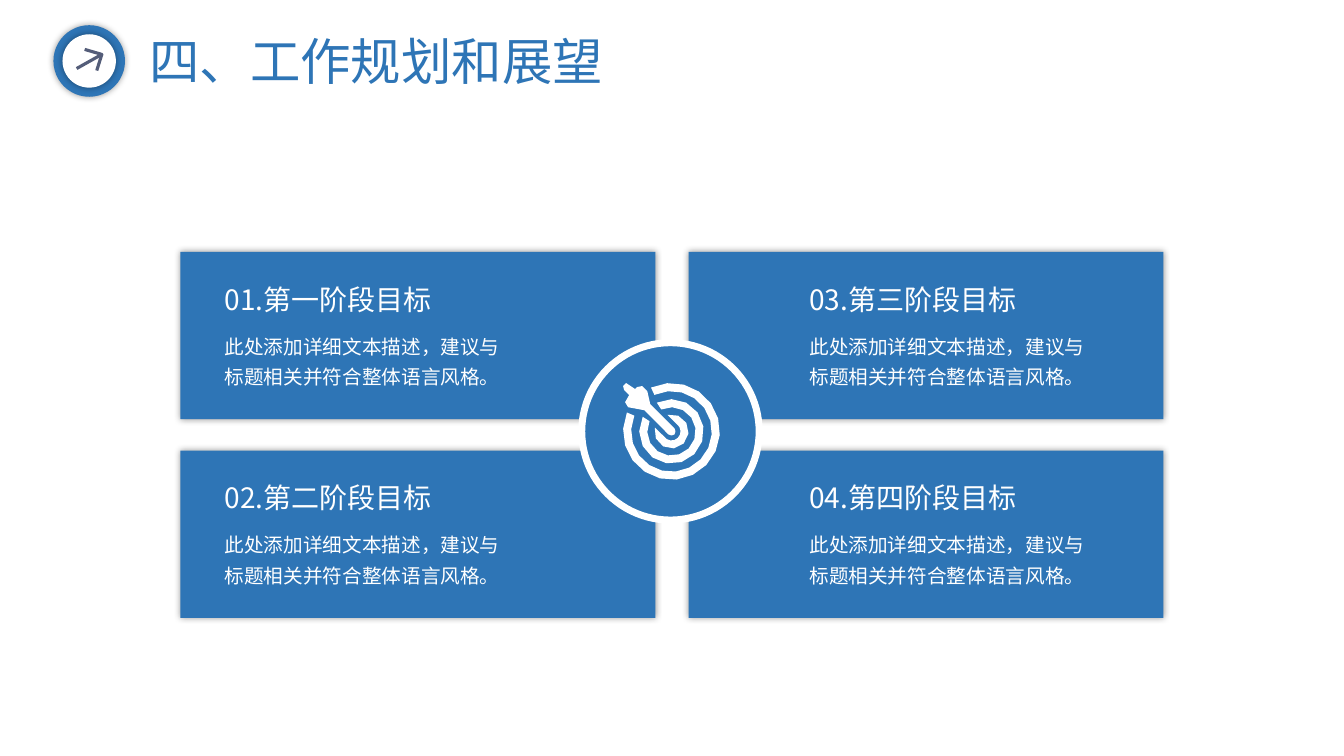
from math import cos, radians, sin

from lxml import etree
from pptx import Presentation
from pptx.dml.color import RGBColor
from pptx.enum.shapes import MSO_CONNECTOR, MSO_SHAPE
from pptx.enum.text import MSO_ANCHOR, MSO_AUTO_SIZE, PP_ALIGN
from pptx.oxml.ns import qn
from pptx.util import Inches, Pt

RECTANGLE, OVAL = MSO_SHAPE.RECTANGLE, MSO_SHAPE.OVAL
STRAIGHT = MSO_CONNECTOR.STRAIGHT
FIT_SHAPE = MSO_AUTO_SIZE.SHAPE_TO_FIT_TEXT
TOP, LEFT = MSO_ANCHOR.TOP, PP_ALIGN.LEFT

BLUE, WHITE, SLATE = "2E75B6", "FFFFFF", "545D79"
HEADING_FONT, BODY_FONT = "Noto Sans CJK JP", "Noto Sans CJK SC"
DESCRIPTION = "此处添加详细文本描述，建议与标题相关并符合整体语言风格。"

# Columns of cards: left edge, text inset, headings from top to bottom
COLUMNS = [
    (1.79, 0.34, ["01.第一阶段目标", "02.第二阶段目标"]),
    (6.83, 1.1, ["03.第三阶段目标", "04.第四阶段目标"]),
]
CARD_TOP, CARD_PITCH, CARD_WIDTH, CARD_HEIGHT = 2.5, 1.97, 4.71, 1.66

# Rings of the target: steps, outer radius, its arc, inner radius, its arc (degrees)
RINGS = [
    (16, 0.48, 245, 563, 0.4, 245, 563),
    (12, 0.32, 243, 567, 0.24, 245, 565),
    (8, 0.17, 256, 553, 0.09, 305, 508),
]
# Outline of the dart, measured from the middle of the target
DART = [
    (0.03, 0.03), (0, 0.04), (-0.03, 0.03), (-0.27, -0.21),
    (-0.43, -0.24), (-0.46, -0.29), (-0.42, -0.36),
    (-0.47, -0.41), (-0.48, -0.45), (-0.45, -0.48),
    (-0.36, -0.42), (-0.34, -0.44), (-0.29, -0.45),
    (-0.24, -0.4), (-0.21, -0.27), (0.03, -0.03), (0.04, 0),
]


def color(value):
    return RGBColor.from_string(value)


def add_effects(properties, glow):
    """Set the effect list: a soft shadow all round, or none."""
    effects = etree.SubElement(properties, qn("a:effectLst"))
    if glow:
        shadow = etree.SubElement(effects, qn("a:outerShdw"), blurRad=str(Pt(5)),
                                  dist="0", dir="0", algn="ctr", rotWithShape="0")
        black = etree.SubElement(shadow, qn("a:srgbClr"), val="000000")
        etree.SubElement(black, qn("a:alpha"), val="40000")


def add_shape(shapes, kind, left, top, width, height, fill, glow=True, outline=None):
    shape = shapes.add_shape(kind, Inches(left), Inches(top), Inches(width), Inches(height))
    shape.fill.solid()
    shape.fill.fore_color.rgb = color(fill)
    if outline:
        shape.line.color.rgb = color(outline)
        shape.line.width = Pt(5)
    else:
        shape.line.fill.background()
    add_effects(shape._element.spPr, glow)


def add_outline(shapes, contours, closed=True):
    """Build one freeform from lists of points in inches."""
    contours = [[(Inches(x), Inches(y)) for x, y in contour] for contour in contours]
    builder = shapes.build_freeform(*contours[0][0])
    for index, contour in enumerate(contours):
        if index:
            builder.move_to(*contour[0])
        builder.add_line_segments(contour[1:], close=closed)
    shape = builder.convert_to_shape()
    shape.shadow.inherit = False
    return shape


def write(box, text, font, size, fill, wrap=True, spacing=1.0):
    frame = box.text_frame
    frame.word_wrap = wrap
    frame.auto_size = FIT_SHAPE
    frame.vertical_anchor = TOP
    para = frame.paragraphs[0]
    para.text = text
    para.alignment = LEFT
    para.line_spacing = spacing
    para.font.name = font
    para.font.size = Pt(size)
    para.font.color.rgb = color(fill)
    latin = para.font._element.find(qn("a:latin"))
    latin.addnext(latin.makeelement(qn("a:ea"), {"typeface": font}))


def add_text(shapes, left, top, width, height, *content, **options):
    box = shapes.add_textbox(Inches(left), Inches(top), Inches(width), Inches(height))
    write(box, *content, **options)


def add_header(page, left, top):
    title = page.shapes.title
    title.left, title.top = Inches(left + 0.85), Inches(top)
    title.width, title.height = Inches(5.68), Inches(0.71)
    write(title, "四、工作规划和展望", HEADING_FONT, 36, BLUE)

    badge = page.shapes.add_group_shape().shapes
    add_shape(badge, OVAL, left, top, 0.71, 0.71, BLUE)
    add_shape(badge, OVAL, left + 0.09, top + 0.09, 0.53, 0.53, WHITE)
    tip = (left + 0.48, top + 0.29)
    head = add_outline(badge, [[(left + 0.31, top + 0.24), tip, (left + 0.43, top + 0.45)]],
                       closed=False)
    head.fill.background()
    shaft = badge.add_connector(STRAIGHT, Inches(left + 0.23), Inches(top + 0.43),
                                Inches(tip[0]), Inches(tip[1]))
    for stroke in (head, shaft):
        stroke.line.color.rgb = color(SLATE)
        stroke.line.width = Pt(2.25)
    add_effects(shaft._element.spPr, False)


def add_card(page, left, top, inset, heading):
    add_shape(page.shapes, RECTANGLE, left, top, CARD_WIDTH, CARD_HEIGHT, BLUE)
    add_text(page.shapes, left + inset, top + 0.25, 2.34, 0.44,
             heading, HEADING_FONT, 20, WHITE, wrap=False)
    add_text(page.shapes, left + inset, top + 0.7, 3, 0.71,
             DESCRIPTION, BODY_FONT, 14, WHITE, spacing=1.3)


def arc(x, y, radius, start, end, steps):
    """List points at equal angles along an arc."""
    angles = [radians(start + (end - start) * step / steps) for step in range(steps + 1)]
    return [(x + radius * cos(angle), y + radius * sin(angle)) for angle in angles]


def add_target(page, x, y, radius):
    emblem = page.shapes.add_group_shape().shapes
    add_shape(emblem, OVAL, x - radius - 0.01, y - radius, 2 * radius, 2 * radius,
              BLUE, glow=False, outline=WHITE)
    contours = [
        arc(x, y, outer, start, end, steps) + arc(x, y, inner, inner_end, inner_start, steps)
        for steps, outer, start, end, inner, inner_start, inner_end in RINGS
    ]
    contours.append([(x + dx, y + dy) for dx, dy in DART])
    icon = add_outline(emblem, contours)
    icon.fill.solid()
    icon.fill.fore_color.rgb = color(WHITE)
    icon.line.fill.background()


def main():
    deck = Presentation()
    deck.slide_width, deck.slide_height = Inches(13.33), Inches(7.5)
    page = deck.slides.add_slide(deck.slide_layouts[5])
    add_header(page, 0.53, 0.25)
    for left, inset, headings in COLUMNS:
        for row, heading in enumerate(headings):
            add_card(page, left, CARD_TOP + row * CARD_PITCH, inset, heading)
    add_target(page, 6.66, 4.28, 0.88)
    deck.save("out.pptx")


if __name__ == "__main__":
    main()
